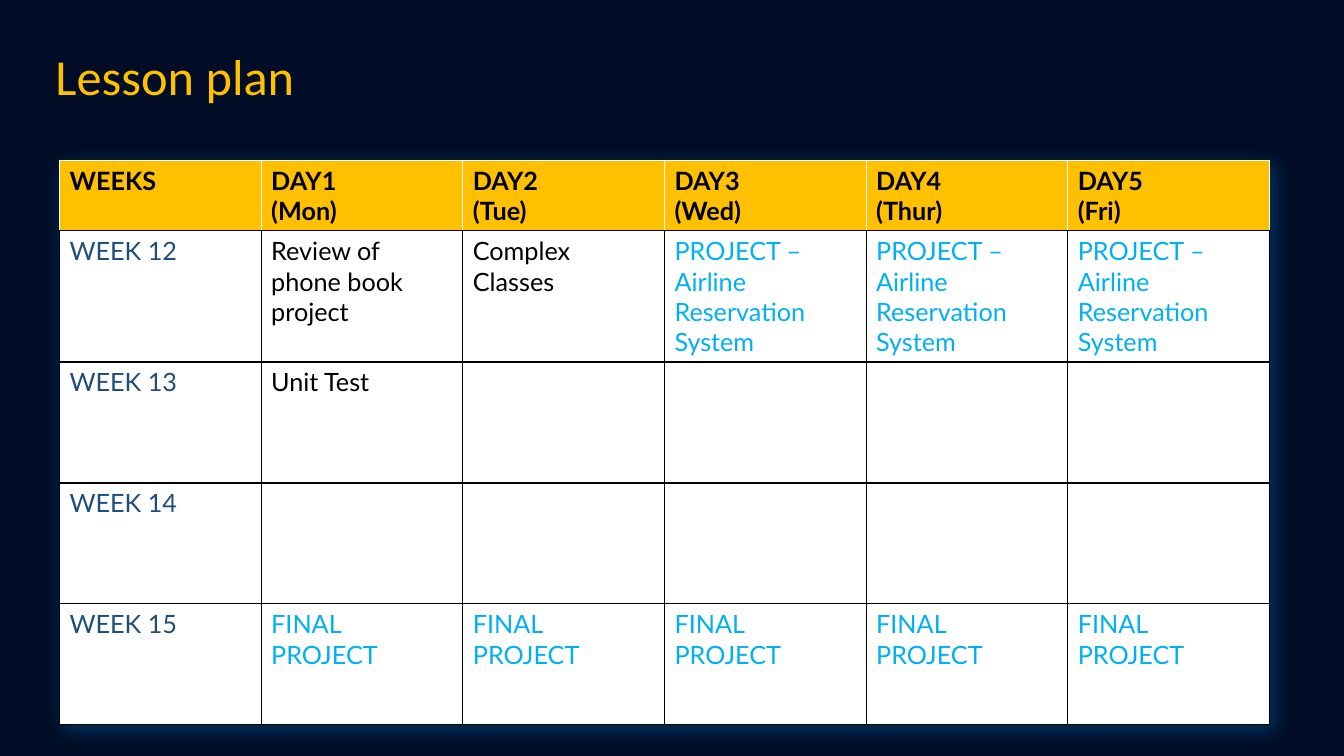
from lxml.etree import SubElement
from pptx import Presentation
from pptx.dml.color import RGBColor
from pptx.enum.text import MSO_ANCHOR, PP_ALIGN
from pptx.oxml import parse_xml
from pptx.oxml.ns import nsdecls, qn
from pptx.util import Inches, Pt

NAVY, GOLD, WHITE, BLACK = "010D26", "FFC000", "FFFFFF", "000000"
WEEK_BLUE, PROJECT_BLUE = "1F4E79", "00B0F0"

TITLE = "Lesson plan"
AIRLINE = "PROJECT – Airline Reservation System"
FINAL = "FINAL PROJECT"
PLAN = [
    ["WEEKS", "DAY1\n(Mon)", "DAY2\n(Tue)", "DAY3\n(Wed)", "DAY4\n(Thur)", "DAY5\n(Fri)"],
    ["WEEK 12", "Review of phone book project", "Complex Classes"] + [AIRLINE] * 3,
    ["WEEK 13", "Unit Test"] + [""] * 4,
    ["WEEK 14"] + [""] * 5,
    ["WEEK 15"] + [FINAL] * 5,
]
TABLE_LEFT, TABLE_TOP = 0.59, 1.59
COL_WIDTH, HEADER_HEIGHT, WEEK_HEIGHT = 2, 0.65, 1.2


def rgb(color):
    return RGBColor.from_string(color)


def text_color(row, col, text):
    if row == 0:
        return BLACK
    if col == 0:
        return WEEK_BLUE
    return PROJECT_BLUE if "PROJECT" in text else BLACK


def set_borders(cell, colors):
    """Draw 1 pt borders; colors run left, right, top, bottom."""
    tc_pr = cell._tc.get_or_add_tcPr()
    for i, (side, color) in enumerate(zip("LRTB", colors)):
        ln = parse_xml(f'<a:ln{side} {nsdecls("a")} w="{Pt(1)}"/>')
        fill = SubElement(ln, qn("a:solidFill"))
        SubElement(fill, qn("a:srgbClr"), val=color)
        tc_pr.insert(i, ln)


def add_glow(table):
    table._tbl.tblPr.insert(0, parse_xml(
        f'<a:effectLst {nsdecls("a")}>'
        f'<a:outerShdw blurRad="{Inches(0.2)}" dist="{Inches(0.06)}" dir="2700000">'
        '<a:srgbClr val="0070C0"><a:alpha val="40000"/></a:srgbClr>'
        '</a:outerShdw></a:effectLst>'))


def fill_cell(cell, row, col, text):
    header = row == 0
    cell.fill.solid()
    cell.fill.fore_color.rgb = rgb(GOLD if header else WHITE)
    side = WHITE if header else BLACK
    set_borders(cell, [side, side, side, BLACK])
    cell.text = text
    for p in cell.text_frame.paragraphs:
        p.font.name = "Lato"
        p.font.size = Pt(18)
        p.font.bold = header
        p.font.color.rgb = rgb(text_color(row, col, text))


def add_title(s):
    title = s.shapes.title
    title.left, title.top = Inches(0.45), Inches(0.06)
    title.width, title.height = Inches(12.39), Inches(1.45)
    tf = title.text_frame
    tf.text = TITLE
    tf.vertical_anchor = MSO_ANCHOR.MIDDLE
    p = tf.paragraphs[0]
    p.alignment = PP_ALIGN.LEFT
    p.line_spacing = 0.9
    p.font.name = "Calibri"
    p.font.size = Pt(36)
    p.font.color.rgb = rgb(GOLD)


def add_plan(s):
    rows, cols = len(PLAN), len(PLAN[0])
    height = HEADER_HEIGHT + WEEK_HEIGHT * (rows - 1)
    table = s.shapes.add_table(
        rows, cols, Inches(TABLE_LEFT), Inches(TABLE_TOP),
        Inches(COL_WIDTH * cols), Inches(height)).table
    add_glow(table)
    for r, texts in enumerate(PLAN):
        table.rows[r].height = Inches(WEEK_HEIGHT if r else HEADER_HEIGHT)
        for c, text in enumerate(texts):
            fill_cell(table.cell(r, c), r, c, text)


def main():
    prs = Presentation()
    prs.slide_width, prs.slide_height = Inches(13.33), Inches(7.5)
    s = prs.slides.add_slide(prs.slide_layouts[5])
    s.background.fill.solid()
    s.background.fill.fore_color.rgb = rgb(NAVY)
    add_title(s)
    add_plan(s)
    prs.save("out.pptx")


if __name__ == "__main__":
    main()
